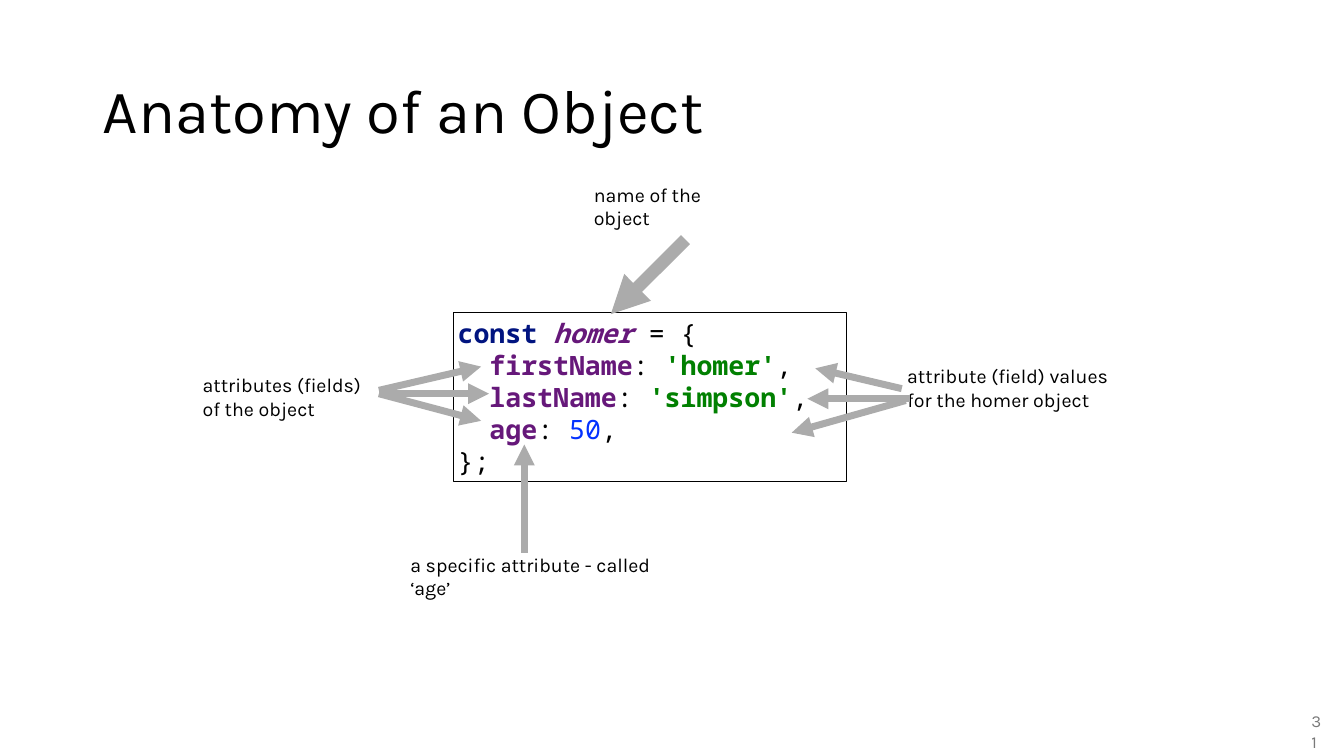
from dataclasses import dataclass

from lxml import etree
from pptx import Presentation
from pptx import util as u
from pptx.dml.color import RGBColor
from pptx.enum import shapes, text
from pptx.oxml.ns import qn


@dataclass(frozen=True)
class Theme:
    prose: str = "Karla"
    mono: str = "Noto Sans Mono"
    ink: str = "000000"
    keyword: str = "011480"
    name: str = "66187A"
    string: str = "018001"
    number: str = "0432FF"
    arrow: str = "ABABAB"
    page: str = "797979"
    title_size: int = 44
    code_size: int = 19
    label_size: int = 14
    page_size: int = 12
    inset: float = 0.04
    thin: int = 5
    thick: int = 9


@dataclass(frozen=True)
class Box:
    left: int
    top: int
    width: int
    height: int

    def point(self, across, down):
        """Point at the given shares of this box."""
        return int(self.left + across * self.width), int(self.top + down * self.height)

    def cell(self, col, row, cols, rows):
        """Part of this box on a 100 by 100 grid."""
        return Box(*self.point(col / 100, row / 100),
                   int(cols / 100 * self.width), int(rows / 100 * self.height))

    @property
    def frame(self):
        return self.left, self.top, self.width, self.height


THEME = Theme()

# Code line by line: (words, colour, bold, italic)
PLAIN = (THEME.ink, False, False)
FIELD = (THEME.name, True, False)
STRING = (THEME.string, True, False)
CODE = [
    [("const ", THEME.keyword, True, False), ("homer ", THEME.name, True, True), ("= {", *PLAIN)],
    [("  ", *PLAIN), ("firstName", *FIELD), (": ", *PLAIN), ("'homer'", *STRING), (",", *PLAIN)],
    [("  ", *PLAIN), ("lastName", *FIELD), (": ", *PLAIN), ("'simpson'", *STRING), (",", *PLAIN)],
    [("  ", *PLAIN), ("age", *FIELD), (": ", *PLAIN), ("50", THEME.number, False, False),
     (",", *PLAIN)],
    [("};", *PLAIN)],
]

# Callouts: label, its slide cell, arrow weight, arrows as shares of the code box
CALLOUTS = [
    ("name of the object", (43.88, 25.2, 12.53, 4.13), THEME.thick,
     [((0.59, -0.43), (0.4, 0.01))]),
    ("attributes (fields) of the object", (14.78, 48.8, 13.8, 7.33), THEME.thin,
     [((-0.19, 0.46), (0.07, 0.32)),
      ((-0.18, 0.48), (0.09, 0.48)),
      ((-0.19, 0.48), (0.07, 0.64))]),
    ("attribute (field) values for the homer object", (67.2, 47.6, 17.03, 7.33), THEME.thin,
     [((1.15, 0.52), (0.86, 0.71)),
      ((1.14, 0.45), (0.92, 0.33)),
      ((1.16, 0.51), (0.9, 0.51))]),
    ("a specific attribute - called ‘age’", (30.23, 74.13, 20.78, 4.13), THEME.thin,
     [((0.18, 1.42), (0.18, 0.78))]),
]


def add_run(paragraph, words, font, size, colour, bold=False, italic=False):
    run = paragraph.add_run()
    run.text = words
    run.font.name = font
    run.font.size = u.Pt(size)
    run.font.bold = bold
    run.font.italic = italic
    run.font.color.rgb = RGBColor.from_string(colour)


def prepare_frame(shape, inset=None):
    """Wrap and centre vertically; return the first paragraph."""
    frame = shape.text_frame
    frame.word_wrap = True
    frame.vertical_anchor = text.MSO_ANCHOR.MIDDLE
    if inset is not None:
        frame.margin_left = frame.margin_right = u.Inches(inset)
        frame.margin_top = frame.margin_bottom = u.Inches(inset)
    return frame.paragraphs[0]


def add_title(slide, box, words):
    title = slide.shapes.title
    title.left, title.top, title.width, title.height = box.frame
    heading = prepare_frame(title)
    heading.alignment = text.PP_ALIGN.LEFT
    heading.line_spacing = 0.9
    add_run(heading, words, THEME.prose, THEME.title_size, THEME.ink)


def add_code(slide, box, lines):
    panel = slide.shapes.add_shape(shapes.MSO_SHAPE.RECTANGLE, *box.frame)
    panel.shadow.inherit = False
    panel.fill.background()
    panel.line.color.rgb = RGBColor.from_string(THEME.ink)
    panel.line.width = u.Pt(1)
    listing = prepare_frame(panel, THEME.inset)
    listing.alignment = text.PP_ALIGN.LEFT
    for index, tokens in enumerate(lines):
        if index:
            listing.add_line_break()
        for words, *style in tokens:
            add_run(listing, words, THEME.mono, THEME.code_size, *style)


def add_arrow(slide, start, end, weight):
    arrow = slide.shapes.add_connector(shapes.MSO_CONNECTOR.STRAIGHT, *start, *end)
    arrow.line.color.rgb = RGBColor.from_string(THEME.arrow)
    arrow.line.width = u.Pt(weight)
    etree.SubElement(arrow.line._get_or_add_ln(), qn("a:tailEnd"), type="triangle")
    etree.SubElement(arrow._element.spPr, qn("a:effectLst"))


def add_callout(slide, box, code_box, label, weight, arrows):
    note = prepare_frame(slide.shapes.add_textbox(*box.frame), THEME.inset)
    add_run(note, label, THEME.prose, THEME.label_size, THEME.ink)
    for start, end in arrows:
        add_arrow(slide, code_box.point(*start), code_box.point(*end), weight)


def add_page_number(slide, box, number):
    page = prepare_frame(slide.shapes.add_textbox(*box.frame))
    page.alignment = text.PP_ALIGN.RIGHT
    add_run(page, number, THEME.prose, THEME.page_size, THEME.page)


def build_anatomy_slide(deck):
    slide = deck.slides.add_slide(deck.slide_layouts[5])  # title only
    page = Box(0, 0, deck.slide_width, deck.slide_height)
    code_box = page.cell(33.75, 41.33, 29.25, 22.4)
    add_title(slide, page.cell(6.9, 5.33, 86.25, 19.33), "Anatomy of an Object")
    add_code(slide, code_box, CODE)
    for label, cell, weight, arrows in CALLOUTS:
        add_callout(slide, page.cell(*cell), code_box, label, weight, arrows)
    add_page_number(slide, page.cell(96.83, 95.2, 1.65, 3.07), "31")


def main():
    deck = Presentation()
    deck.slide_width, deck.slide_height = u.Inches(13.33), u.Inches(7.5)
    build_anatomy_slide(deck)
    deck.save("out.pptx")


if __name__ == "__main__":
    main()
